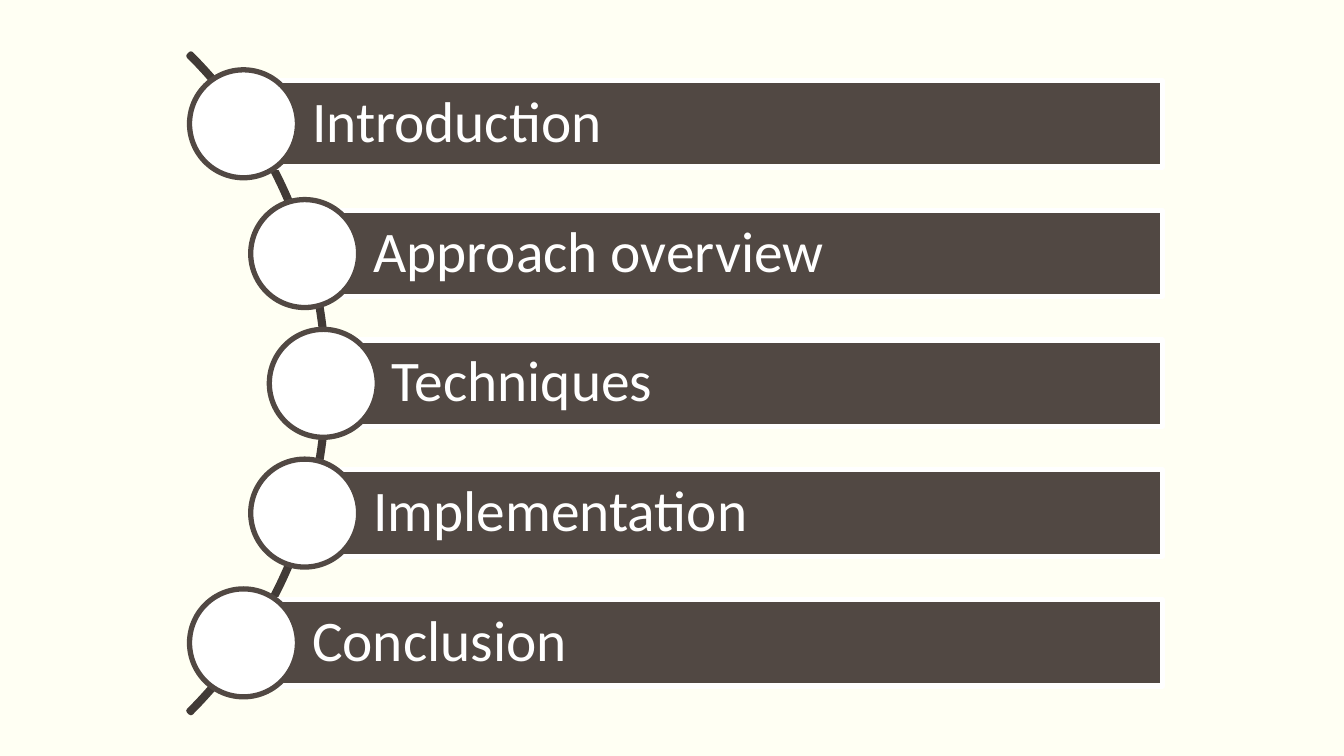
from math import sqrt

from pptx import Presentation
from pptx.dml.color import RGBColor
from pptx.enum.shapes import MSO_SHAPE
from pptx.enum.text import MSO_ANCHOR, PP_ALIGN
from pptx.util import Cm, Pt

IVORY = RGBColor(0xFF, 0xFF, 0xF3)
WHITE = RGBColor(0xFF, 0xFF, 0xFF)
BROWN = RGBColor(0x51, 0x48, 0x43)
DARK_BROWN = RGBColor(0x41, 0x3A, 0x36)

TOPICS = ["Introduction", "Approach overview", "Techniques", "Implementation", "Conclusion"]
PITCH = 3.27
BAR_HEIGHT = 2.18
CIRCLE_SIZE = 2.72
CIRCLE_OFFSET = 0.1


def add_outlined_shape(slide, kind, left, top, width, height, fill, line):
    shape = slide.shapes.add_shape(kind, Cm(left), Cm(top), Cm(width), Cm(height))
    shape.shadow.inherit = False
    if fill is None:
        shape.fill.background()
    else:
        shape.fill.solid()
        shape.fill.fore_color.rgb = fill
    shape.line.color.rgb = line
    shape.line.width = Pt(3.78)
    return shape


def add_arc(slide, center_x, center_y, radius):
    arc = add_outlined_shape(slide, MSO_SHAPE.BLOCK_ARC, center_x - radius, center_y - radius,
                             2 * radius, 2 * radius, None, DARK_BROWN)
    for index, value in enumerate((189, 27, 0.003)):
        arc.adjustments[index] = value


def add_topic(slide, topic, center_x, center_y, right):
    bar = add_outlined_shape(slide, MSO_SHAPE.RECTANGLE, center_x, center_y - BAR_HEIGHT / 2,
                             right - center_x, BAR_HEIGHT, BROWN, WHITE)
    text_frame = bar.text_frame
    text_frame.word_wrap = True
    text_frame.vertical_anchor = MSO_ANCHOR.MIDDLE
    text_frame.margin_left = Cm(1.73)
    text_frame.margin_right = text_frame.margin_top = text_frame.margin_bottom = Cm(0.28)
    text_frame.text = topic
    paragraph = text_frame.paragraphs[0]
    paragraph.alignment = PP_ALIGN.LEFT
    paragraph.line_spacing = 0.9
    font = paragraph.runs[0].font
    font.name = "Calibri"
    font.size = Pt(41)
    font.color.rgb = WHITE
    add_outlined_shape(slide, MSO_SHAPE.OVAL, center_x - CIRCLE_SIZE / 2,
                       center_y - CIRCLE_SIZE / 2, CIRCLE_SIZE, CIRCLE_SIZE, WHITE, BROWN)


def add_curved_agenda(slide, left, top, width, height):
    center_x = left - height / 2
    center_y = top + height / 2
    radius = height / sqrt(2)
    add_arc(slide, center_x, center_y, radius)
    for index, topic in enumerate(TOPICS):
        offset = (index - (len(TOPICS) - 1) / 2) * PITCH
        topic_x = center_x + sqrt((radius - CIRCLE_OFFSET) ** 2 - offset ** 2)
        add_topic(slide, topic, topic_x, center_y + offset, left + width)


def main():
    presentation = Presentation()
    presentation.slide_width = Cm(33.87)
    presentation.slide_height = Cm(19.05)
    slide = presentation.slides.add_slide(presentation.slide_layouts[6])
    slide.background.fill.solid()
    slide.background.fill.fore_color.rgb = IVORY
    add_curved_agenda(slide, 4.81, 1.36, 24.48, 16.6)
    presentation.save("out.pptx")


if __name__ == "__main__":
    main()
